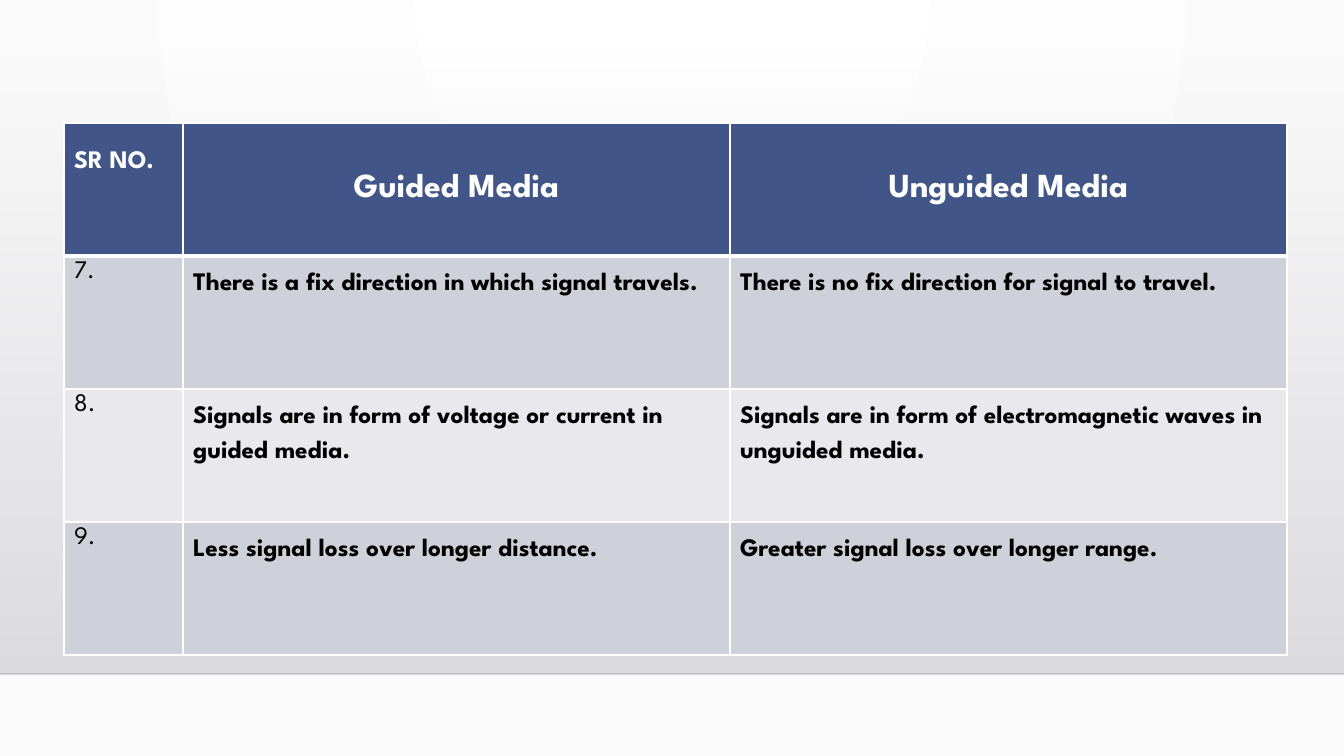
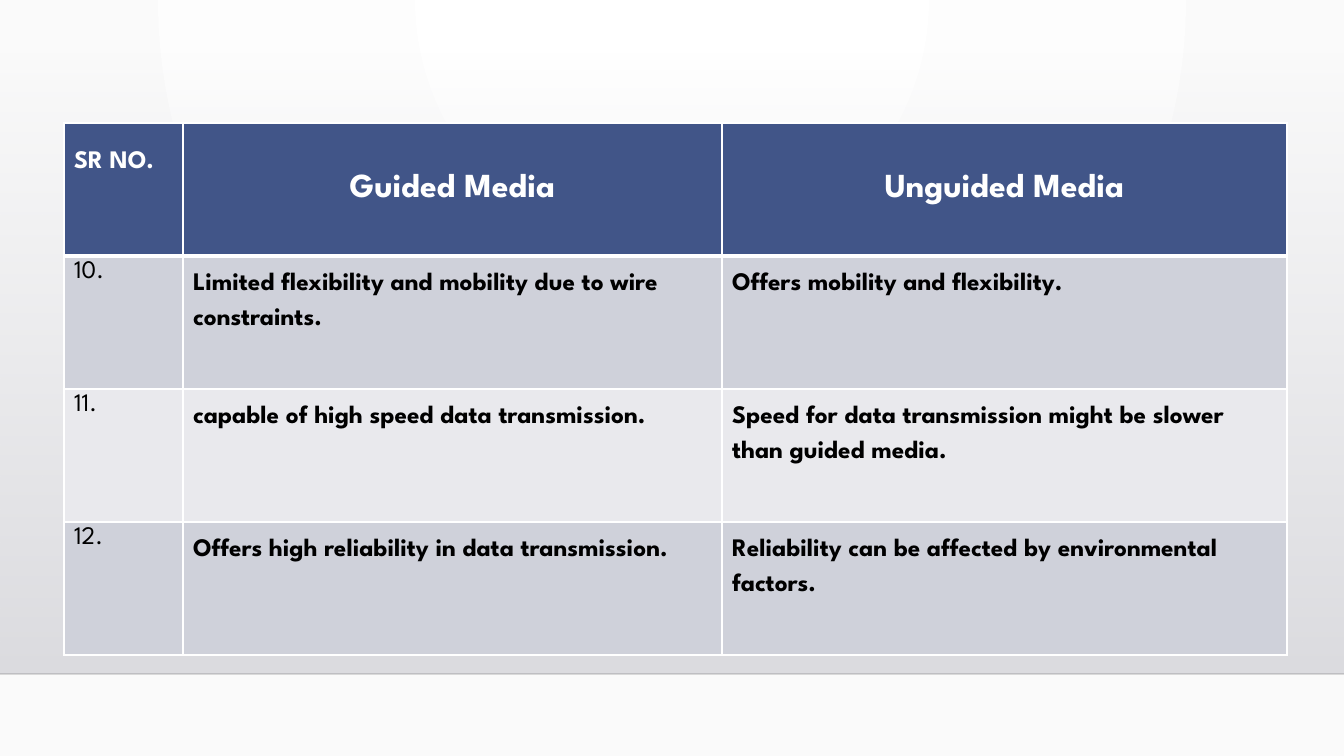
from lxml import etree
from pptx import Presentation
from pptx.dml.color import RGBColor
from pptx.enum.shapes import MSO_CONNECTOR, MSO_SHAPE
from pptx.enum.text import PP_ALIGN
from pptx.oxml.ns import qn
from pptx.util import Pt

RECTANGLE = MSO_SHAPE.RECTANGLE
STRAIGHT = MSO_CONNECTOR.STRAIGHT
LEFT, CENTER = PP_ALIGN.LEFT, PP_ALIGN.CENTER

FONT = "League Spartan"
WHITE, BLACK = "FFFFFF", "000000"
HEADER_FILL = "415588"
BAND_FILLS = ["CFD1DA", "E9E9ED"]
PAGE_GRADIENT = ["FFFFFF", "FAFAFA"]
WALL_GRADIENT = ["DCDCE0", "DEDEE2"]
FLOOR_LINE = "000001"

PAGE_WIDTH, PAGE_HEIGHT = 1344, 756
WALL_TOP, FLOOR = 51, 674
TABLE_LEFT, TABLE_TOP, ROW_HEIGHT = 64, 123, 133

HEADER = ("SR NO.", "Guided Media", "Unguided Media")
HEADER_STYLES = [(18, True, WHITE, LEFT, 2), (24, True, WHITE, CENTER, 2.5), (24, True, WHITE, CENTER, 2.5)]
BODY_STYLES = [(18, False, BLACK, LEFT, 1), (18, True, BLACK, LEFT, 1.5), (18, True, BLACK, LEFT, 1.5)]

SLIDES = [
    {
        "columns": (119, 547, 557),
        "rows": [
            ("7.", "There is a fix direction in which signal travels.",
             "There is no fix direction for signal to travel."),
            ("8.", "Signals are in form of voltage or current in guided media.",
             "Signals are in form of electromagnetic waves in unguided media."),
            ("9.", "Less signal loss over longer distance.",
             "Greater signal loss over longer range."),
        ],
    },
    {
        "columns": (119, 539, 565),
        "rows": [
            ("10.", "Limited flexibility and mobility due to wire constraints.",
             "Offers mobility and flexibility."),
            ("11.", "capable of high speed data transmission.",
             "Speed for data transmission might be slower than guided media."),
            ("12.", "Offers high reliability in data transmission.",
             "Reliability can be affected by environmental factors."),
        ],
    },
]


def px(length):
    return round(length * 914400 / 100.8)


def rgb(value):
    return RGBColor.from_string(value)


def set_gradient(fill, colors):
    fill.gradient()
    for stop, color in zip(fill.gradient_stops, colors):
        stop.color.rgb = rgb(color)


def set_alpha(element, percent):
    color = next(element.iter(qn("a:srgbClr")))
    etree.SubElement(color, qn("a:alpha"), val=str(percent * 1000))


def draw_background(page):
    set_gradient(page.background.fill, PAGE_GRADIENT)
    linear = next(page.element.iter(qn("a:lin")))
    gradient = linear.getparent()
    gradient.remove(linear)
    circle = etree.SubElement(gradient, qn("a:path"), path="circle")
    etree.SubElement(circle, qn("a:fillToRect"), l="43000", t="0", r="43000", b="100000")

    wall = page.shapes.add_shape(RECTANGLE, 0, px(WALL_TOP), px(PAGE_WIDTH), px(FLOOR - WALL_TOP))
    wall.shadow.inherit = False
    wall.line.fill.background()
    set_gradient(wall.fill, WALL_GRADIENT)
    wall.fill.gradient_angle = 270
    set_alpha(wall.element, 0)

    floor = page.shapes.add_connector(STRAIGHT, 0, px(FLOOR), px(PAGE_WIDTH), px(FLOOR))
    floor.line.color.rgb = rgb(FLOOR_LINE)
    floor.line.width = Pt(1)
    set_alpha(floor.element, 20)
    etree.SubElement(floor.element.spPr, qn("a:effectLst"))


def set_borders(cell, top, bottom):
    properties = cell._tc.get_or_add_tcPr()
    for side, width in (("L", 1), ("R", 1), ("T", top), ("B", bottom)):
        border = etree.SubElement(properties, qn(f"a:ln{side}"), w=str(Pt(width)))
        solid = etree.SubElement(border, qn("a:solidFill"))
        etree.SubElement(solid, qn("a:srgbClr"), val=WHITE)


def write_cell(cell, text, style, fill):
    size, bold, color, align, spacing = style
    cell.fill.solid()
    cell.fill.fore_color.rgb = rgb(fill)
    para = cell.text_frame.paragraphs[0]
    para.alignment = align
    para.line_spacing = spacing
    span = para.add_run()
    span.text = text
    span.font.name = FONT
    span.font.size = Pt(size)
    span.font.bold = bold
    span.font.color.rgb = rgb(color)


def draw_table(page, columns, rows):
    lines = [HEADER] + rows
    table = page.shapes.add_table(
        len(lines), len(columns), px(TABLE_LEFT), px(TABLE_TOP),
        px(sum(columns)), px(ROW_HEIGHT * len(lines))).table
    table.horz_banding = False
    for column, width in zip(table.columns, columns):
        column.width = px(width)
    for number, texts in enumerate(lines):
        table.rows[number].height = px(ROW_HEIGHT)
        is_header = number == 0
        styles = HEADER_STYLES if is_header else BODY_STYLES
        fill = HEADER_FILL if is_header else BAND_FILLS[(number - 1) % 2]
        for place, (text, style) in enumerate(zip(texts, styles)):
            cell = table.cell(number, place)
            set_borders(cell, 3 if number == 1 else 1, 3 if is_header else 1)
            write_cell(cell, text, style, fill)


def main():
    deck = Presentation()
    deck.slide_width, deck.slide_height = px(PAGE_WIDTH), px(PAGE_HEIGHT)
    for content in SLIDES:
        page = deck.slides.add_slide(deck.slide_layouts[6])
        draw_background(page)
        draw_table(page, content["columns"], content["rows"])
    deck.save("out.pptx")


if __name__ == "__main__":
    main()
